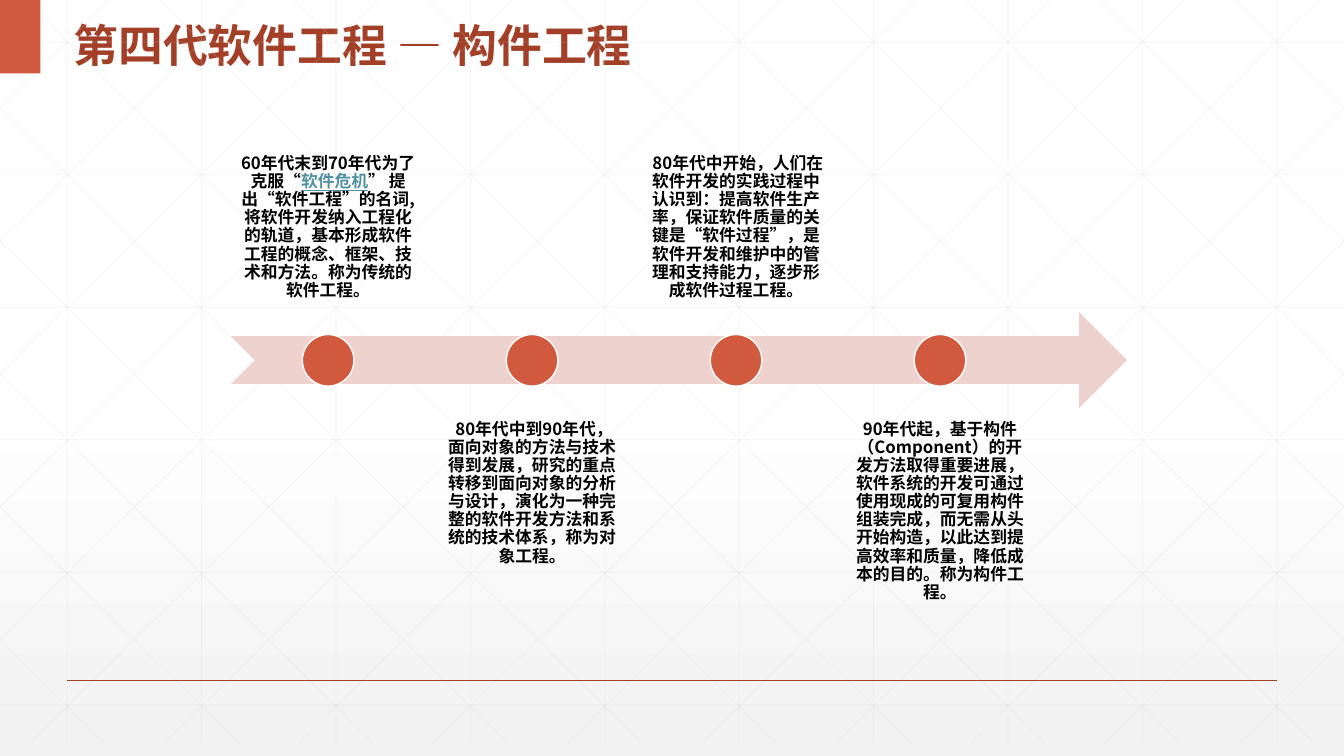
from dataclasses import dataclass

from lxml.etree import SubElement
from pptx import Presentation
from pptx.dml.color import RGBColor
from pptx.enum.shapes import MSO_CONNECTOR as Connector, MSO_SHAPE as Preset
from pptx.enum.text import MSO_ANCHOR as Anchor, MSO_AUTO_SIZE as AutoSize, PP_ALIGN as Align
from pptx.oxml.ns import qn
from pptx.util import Cm, Pt


@dataclass(frozen=True)
class Theme:
    font: str = "Noto Sans CJK SC"
    title_size: int = 32
    caption_size: int = 12
    title: str = "A43F27"
    accent: str = "D15A3E"
    arrow: str = "EED2CE"
    text: str = "000000"
    term: str = "4F91A1"
    grid: str = "D9D9D9"
    white: str = "FFFFFF"
    shade: str = "F2F2F2"


THEME = Theme()
WIDTH, HEIGHT = 33.87, 19.05

# Grid and timeline measures in centimetres
GRID_BOTTOM = 18.72
GRID_COLUMN, GRID_ROW = WIDTH / 10, 3.34
DIAGONAL_START, DIAGONAL_RUN = 0.63, 18.93
STEP = 5.14
CAPTION_LEFT, CAPTION_ABOVE, CAPTION_BELOW = 5.82, 2.64, 10.36
DOT_LEFT, DOT_TOP, DOT_SIZE = 7.62, 8.43, 1.3

# Each caption is a list of (wording, is it a marked term)
CAPTIONS = [
    [("60年代末到70年代为了克服“", False), ("软件危机", True),
     ("” 提出“软件工程”的名词, 将软件开发纳入工程化的轨道，基本形成软件工程的概念、"
      "框架、技术和方法。称为传统的软件工程。", False)],
    [(" 80年代中到90年代，面向对象的方法与技术得到发展，研究的重点转移到面向对象的"
      "分析与设计，演化为一种完整的软件开发方法和系统的技术体系，称为对象工程。", False)],
    [(" 80年代中开始，人们在软件开发的实践过程中认识到：提高软件生产率，保证软件质量的"
      "关键是“软件过程”，是软件开发和维护中的管理和支持能力，逐步形成软件过程工程。", False)],
    [("90年代起，基于构件（Component）的开发方法取得重要进展，软件系统的开发可通过"
      "使用现成的可复用构件组装完成，而无需从头开始构造，以此达到提高效率和质量，"
      "降低成本的目的。称为构件工程。", False)],
]


def rgb(code):
    return RGBColor.from_string(code)


def style_span(span, size, color):
    span.font.name = THEME.font
    span.font.size = Pt(size)
    span.font.bold = True
    span.font.color.rgb = rgb(color)
    SubElement(span.font._element, qn("a:ea"), typeface=THEME.font)


def add_line(page, start, end, color, width, opacity=100):
    line = page.shapes.add_connector(
        Connector.STRAIGHT, Cm(start[0]), Cm(start[1]), Cm(end[0]), Cm(end[1]))
    line.line.width = Pt(width)
    line.line.color.rgb = rgb(color)
    if opacity < 100:
        paint = line._element.spPr.find(".//" + qn("a:srgbClr"))
        SubElement(paint, qn("a:alpha"), val=str(opacity * 1000))
    SubElement(line._element.spPr, qn("a:effectLst"))


def add_figure(page, preset, left, top, width, height, fill, outline=None):
    figure = page.shapes.add_shape(preset, Cm(left), Cm(top), Cm(width), Cm(height))
    figure.shadow.inherit = False
    figure.fill.solid()
    figure.fill.fore_color.rgb = rgb(fill)
    if outline:
        figure.line.color.rgb = rgb(outline)
        figure.line.width = Pt(1)
    else:
        figure.line.fill.background()


def add_caption(page, left, top, anchor, parts):
    box = page.shapes.add_textbox(Cm(left), Cm(top), Cm(4.9), Cm(5.16))
    frame = box.text_frame
    frame.word_wrap = True
    frame.vertical_anchor = anchor
    frame.margin_left = frame.margin_right = Cm(0.24)
    frame.margin_top = frame.margin_bottom = Cm(0.24)
    para = frame.paragraphs[0]
    para.alignment = Align.CENTER
    para.line_spacing = 0.9
    for wording, is_term in parts:
        span = para.add_run()
        span.text = wording
        style_span(span, THEME.caption_size, THEME.term if is_term else THEME.text)
        span.font.underline = is_term


def paint_background(page):
    fill = page.background.fill
    fill.gradient()
    fill.gradient_angle = 270
    stops = zip(fill.gradient_stops, (0.53, 1), (THEME.white, THEME.shade))
    for stop, position, color in stops:
        stop.position = position
        stop.color.rgb = rgb(color)


def diagonal(start):
    """Ends of a falling line, cut at the slide edges."""
    slope = GRID_BOTTOM / DIAGONAL_RUN
    left, right = max(start, 0), min(start + DIAGONAL_RUN, WIDTH)
    return (left, (left - start) * slope), (right, (right - start) * slope)


def add_grid(page):
    lines = []
    for index in range(10):
        x = GRID_COLUMN * (index + 0.5)
        lines.append(((x, 0), (x, GRID_BOTTOM)))
    for index in range(6):
        y = 1.06 + GRID_ROW * index
        lines.append(((0, y), (WIDTH, y)))
    for index in range(-5, 10):
        start, end = diagonal(DIAGONAL_START + GRID_COLUMN * index)
        lines.append((start, end))
        lines.append(((WIDTH - start[0], start[1]), (WIDTH - end[0], end[1])))
    for start, end in lines:
        add_line(page, start, end, THEME.grid, 0.5, opacity=25)


def set_title(page, wording):
    title = page.shapes.title
    title.left, title.top, title.width, title.height = Cm(1.6), Cm(0), Cm(17.25), Cm(1.85)
    frame = title.text_frame
    frame.text = wording
    frame.auto_size = AutoSize.NONE
    frame.vertical_anchor = Anchor.MIDDLE
    para = frame.paragraphs[0]
    para.alignment = Align.LEFT
    para.line_spacing = 1.3
    style_span(para.runs[0], THEME.title_size, THEME.title)


def add_timeline(page):
    add_figure(page, Preset.NOTCHED_RIGHT_ARROW, 5.82, 7.87, 22.58, 2.41, THEME.arrow)
    for index, parts in enumerate(CAPTIONS):
        shift = STEP * index
        # Captions alternate above and below the arrow
        top, anchor = ((CAPTION_BELOW, Anchor.TOP) if index % 2
                       else (CAPTION_ABOVE, Anchor.BOTTOM))
        add_caption(page, CAPTION_LEFT + shift, top, anchor, parts)
        add_figure(page, Preset.OVAL, DOT_LEFT + shift, DOT_TOP, DOT_SIZE, DOT_SIZE,
                   THEME.accent, THEME.white)


def main():
    deck = Presentation()
    deck.slide_width, deck.slide_height = Cm(WIDTH), Cm(HEIGHT)
    page = deck.slides.add_slide(deck.slide_layouts[5])

    # Backdrop
    paint_background(page)
    add_grid(page)
    add_line(page, (1.69, 17.15), (32.17, 17.15), THEME.title, 1)
    add_figure(page, Preset.RECTANGLE, 0, 0, 1.02, 1.85, THEME.accent)

    # Content
    set_title(page, "第四代软件工程 — 构件工程")
    add_timeline(page)
    deck.save("out.pptx")


if __name__ == "__main__":
    main()
